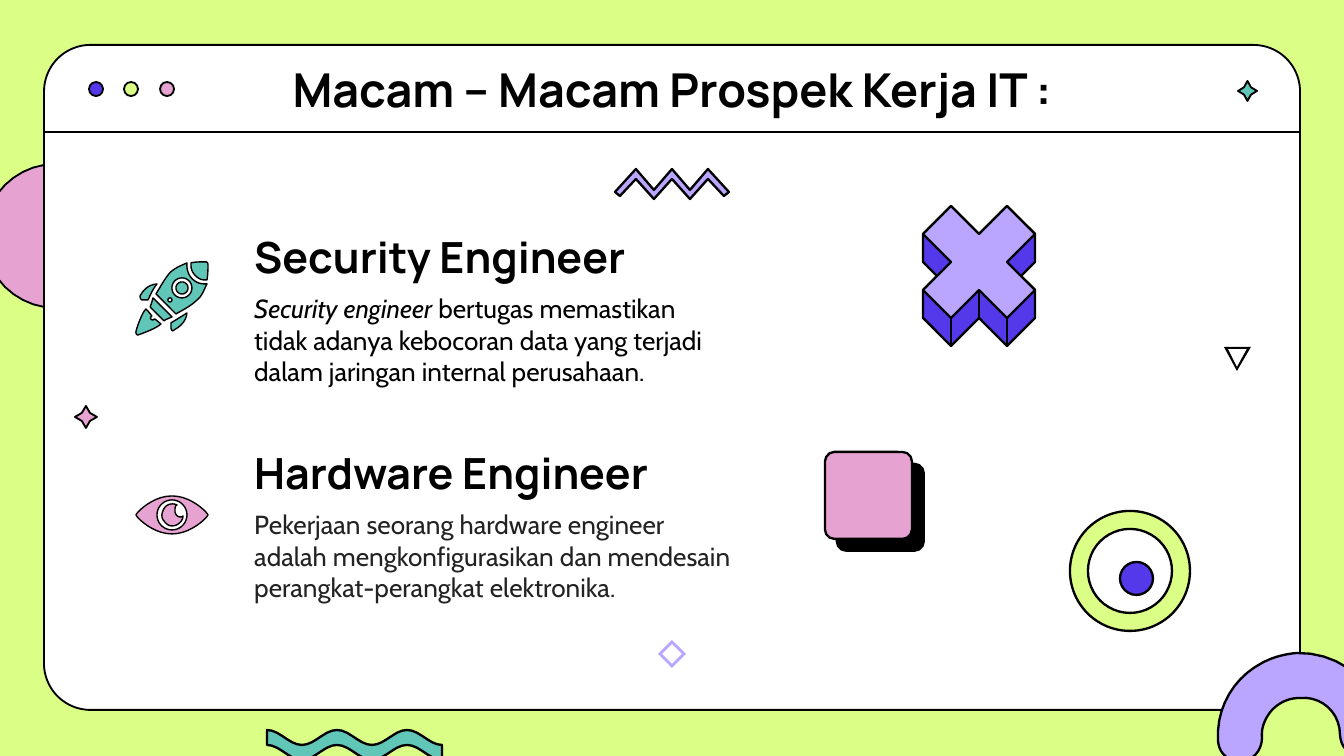
import math

import pptx
import pptx.dml.color
import pptx.enum.shapes
import pptx.enum.text
import pptx.oxml
import pptx.oxml.ns
import pptx.util

RGB = pptx.dml.color.RGBColor
Kind = pptx.enum.shapes.MSO_SHAPE
Align = pptx.enum.text.PP_ALIGN
Anchor = pptx.enum.text.MSO_ANCHOR

LIME = RGB(0xDB, 0xFE, 0x87)
TEAL = RGB(0x60, 0xC7, 0xB8)
PINK = RGB(0xE6, 0xA2, 0xD0)
LILAC = RGB(0xBA, 0xA5, 0xFF)
VIOLET = RGB(0x53, 0x39, 0xEA)
WHITE = RGB(0xFF, 0xFF, 0xFF)
BLACK = RGB(0, 0, 0)
GRAY = RGB(0x22, 0x22, 0x22)

HEADING = {"name": "Manrope", "size": pptx.util.Pt(23), "bold": True}
TITLE = {**HEADING, "size": pptx.util.Pt(25)}
BODY = {"name": "Cabin", "size": pptx.util.Pt(14)}
EMU_PER_PIXEL = 914400 / 134.4
CURVE_STEPS = 10


def emu(pixels):
    return pptx.util.Emu(round(pixels * EMU_PER_PIXEL))


def circle(x, y, radius):
    angles = [math.tau * i / 36 for i in range(37)]
    return [(x + radius * math.cos(a), y + radius * math.sin(a)) for a in angles]


def flatten(contour):
    """Turn six-number cubic curve steps into short straight ones."""
    points = [contour[0]]
    for step in contour[1:]:
        if len(step) == 2:
            points.append(step)
            continue
        nodes = [points[-1], step[:2], step[2:4], step[4:]]
        for i in range(1, CURVE_STEPS + 1):
            t = i / CURVE_STEPS
            weights = ((1 - t) ** 3, 3 * t * (1 - t) ** 2, 3 * t * t * (1 - t), t ** 3)
            points.append(tuple(sum(w * node[axis] for w, node in zip(weights, nodes))
                                for axis in (0, 1)))
    return points


class Canvas:
    def __init__(self, page):
        self.page = page

    def paint(self, shape, fill, width):
        shape.shadow.inherit = False
        shape.fill.solid()
        shape.fill.fore_color.rgb = fill
        if width:
            shape.line.color.rgb = BLACK
            shape.line.width = pptx.util.Pt(width)
        else:
            shape.line.fill.background()
        return shape

    def preset(self, kind, frame, fill, width=1.0, adjust=None):
        shape = self.page.shapes.add_shape(kind, *map(emu, frame))
        if adjust is not None:
            shape.adjustments[0] = adjust
        return self.paint(shape, fill, width)

    def outline(self, contours, fill, width=1.0):
        builder = None
        for contour in contours:
            first, *rest = [(emu(x), emu(y)) for x, y in flatten(contour)]
            if builder is None:
                builder = self.page.shapes.build_freeform(*first, scale=1.0)
            else:
                builder.move_to(*first)
            builder.add_line_segments(rest, close=True)
        return self.paint(builder.convert_to_shape(), fill, width)

    def line(self, start, end, width=1.0):
        connector = self.page.shapes.add_connector(
            pptx.enum.shapes.MSO_CONNECTOR.STRAIGHT, *map(emu, start + end))
        connector.line.color.rgb = BLACK
        connector.line.width = pptx.util.Pt(width)
        connector._element.spPr.append(pptx.oxml.parse_xml(
            f'<a:effectLst {pptx.oxml.ns.nsdecls("a")}/>'))

    def hard_shadow(self, shape, points):
        effects = shape._element.spPr.find(pptx.oxml.ns.qn("a:effectLst"))
        effects.append(pptx.oxml.parse_xml(
            f'<a:outerShdw {pptx.oxml.ns.nsdecls("a")} dist="{pptx.util.Pt(points)}" '
            'dir="2700000" algn="bl" rotWithShape="0"><a:srgbClr val="000000"/></a:outerShdw>'))

    def text(self, frame, spans, style, color=BLACK, spacing=1.0,
             align=Align.LEFT, anchor=Anchor.TOP):
        box = self.page.shapes.add_textbox(*map(emu, frame)).text_frame
        box.word_wrap = True
        box.vertical_anchor = anchor
        para = box.paragraphs[0]
        para.alignment = align
        para.line_spacing = spacing
        for words, extra in spans:
            span = para.add_run()
            span.text = words
            span.font.color.rgb = color
            for key, value in {**style, **extra}.items():
                setattr(span.font, key, value)


deck = pptx.Presentation()
deck.slide_width, deck.slide_height = emu(1344), emu(756)
page = deck.slides.add_slide(deck.slide_layouts[6])
page.background.fill.solid()
page.background.fill.fore_color.rgb = LIME
canvas = Canvas(page)

# Wave and half disc behind the window
crest = [(267 + x, 730 + 7.5 * (1 - math.cos(math.tau * x / 70))) for x in range(0, 176, 5)]
canvas.outline([crest + [(x, y + 15) for x, y in reversed(crest)]], TEAL, 1.25)
canvas.outline([[(56, 164), (16, 164, -16, 196, -16, 236), (-16, 276, 16, 308, 56, 308)]], PINK)

# Window with its bar
canvas.preset(Kind.ROUNDED_RECTANGLE, (44, 45, 1256, 665), WHITE, adjust=0.07)
canvas.line((44, 132), (1300, 132))
for index, color in enumerate((VIOLET, LIME, PINK)):
    canvas.preset(Kind.OVAL, (89 + 71 * index // 2, 82, 14, 14), color)
canvas.text((106, 65, 1132, 54), [("Macam – Macam Prospek Kerja IT :", {})], TITLE,
            spacing=0.9, align=Align.CENTER, anchor=Anchor.MIDDLE)

# Two jobs
jobs = [
    (230, 492, "Security Engineer", BLACK,
     [("Security engineer", {"italic": True}),
      ("\u00a0bertugas memastikan tidak adanya kebocoran data yang terjadi "
       "dalam jaringan internal perusahaan.", {})]),
    (446, 513, "Hardware Engineer", GRAY,
     [("Pekerjaan seorang hardware engineer adalah mengkonfigurasikan dan mendesain "
       "perangkat-perangkat elektronika.", {})]),
]
for top, width, heading, color, spans in jobs:
    canvas.text((241, top, width, 55), [(heading, {})], HEADING, spacing=0.9)
    canvas.text((241, top + 56, width, 92), spans, BODY, color)

# Eye icon
lid = [(136, 515), (137, 512, 153, 496, 172, 496), (191, 496, 207, 512, 208, 515),
       (207, 518, 191, 534, 172, 534), (153, 534, 137, 518, 136, 515)]
iris = [(172, 504), (168, 504, 164, 507, 163, 511), (161, 515, 162, 519, 164, 521),
        (166, 524, 169, 526, 172, 526), (178, 526, 183, 521, 183, 516),
        (182, 517, 181, 517, 180, 517), (177, 517, 175, 514, 175, 511),
        (175, 508, 175, 506, 177, 505), (175, 504, 173, 504, 172, 504)]
for contours in ([lid, circle(172, 515, 15)], [iris]):
    canvas.outline(contours, PINK, 0.75)

# Rocket icon
band = [(153, 298), (151, 305), (150, 306, 150, 307, 151, 308), (163, 320),
        (164, 321, 165, 321, 165, 320), (172, 317)]
nose = [(203, 262), (199, 262, 195, 262, 191, 263), (191, 266),
        (191, 273, 198, 280, 204, 280), (207, 280), (208, 274, 208, 269, 208, 265),
        (208, 263, 207, 262, 206, 262)]
body = [(187, 263), (180, 266, 173, 269, 169, 274), (164, 280, 160, 288, 156, 294),
        (176, 314), (183, 310, 191, 306, 196, 301), (202, 297, 204, 290, 207, 284),
        (204, 284), (195, 284, 187, 276, 187, 266)]
right_fin = [(187, 313), (181, 317, 176, 320, 171, 323), (171, 328),
             (171, 329, 172, 331, 173, 331), (175, 329, 186, 325, 187, 313)]
left_fin = [(157, 284), (145, 285, 141, 295, 140, 296), (140, 298, 141, 300, 142, 300),
            (148, 300), (151, 294, 153, 289, 157, 284)]
flame = [(146, 309), (142, 313, 137, 327, 136, 332), (136, 334, 137, 335, 138, 335),
         (144, 333, 157, 328, 161, 324), (155, 319), (153, 320),
         (151, 320, 150, 318, 151, 317), (152, 316), (148, 311)]
rocket = [[band], [nose], [circle(182, 288, 6)],
          [body, circle(182, 288, 10), circle(170, 300, 2)],
          [right_fin], [left_fin], [flame]]
for contours in rocket:
    canvas.outline(contours, TEAL, 0.75)

# Small ornaments
canvas.preset(Kind.STAR_4_POINT, (75, 406, 22, 22), PINK, adjust=0.26)
canvas.preset(Kind.STAR_4_POINT, (1238, 81, 19, 20), TEAL, adjust=0.26)
zigzag = [(690, 199), (672, 179), (654, 199), (636, 179), (620, 196), (615, 192), (636, 169),
          (654, 190), (672, 169), (690, 190), (708, 169), (729, 192), (724, 196), (708, 179)]
canvas.outline([zigzag], LILAC, 1.25)
canvas.outline([[(1224, 347), (1251, 347), (1237, 371)],
                [(1228, 349), (1247, 349), (1237, 367)]], BLACK, 0)
canvas.outline([[(672, 654 - r), (672 + r, 654), (672, 654 + r), (672 - r, 654)]
                for r in (14, 10)], LILAC, 0)

# Ring with a pupil
canvas.preset(Kind.DONUT, (1070, 511, 120, 120), LIME, 1.25, adjust=0.15)
canvas.preset(Kind.OVAL, (1120, 562, 33, 33), VIOLET, 1.25)

# Arch at the corner
arch = [(1262, 663), (1273, 657, 1285, 654, 1297, 653), (1343, 652, 1382, 687, 1384, 732),
        (1384, 745, 1375, 755, 1363, 755), (1351, 757, 1341, 749, 1340, 735),
        (1340, 712, 1321, 696, 1300, 698), (1289, 698, 1280, 702, 1272, 710),
        (1265, 718, 1261, 728, 1262, 738), (1262, 750, 1253, 761, 1241, 761),
        (1228, 762, 1219, 753, 1218, 741), (1216, 706, 1235, 677, 1262, 663)]
canvas.outline([arch], LILAC, 1.25)


# Solid cross on a grid of 28 pixels
def cross_point(column, row):
    return 979 + 28 * column, 262 + 28 * row


sides = [(2, -1), (2, 0), (1.5, 0.5), (2, 1), (2, 2), (1, 3), (0, 2), (-1, 3), (-2, 2),
         (-2, 1), (-1.5, 0.5), (-2, 0), (-2, -1), (-1, -2), (0, -1), (1, -2)]
face = [(1, -2), (2, -1), (1, 0), (2, 1), (1, 2), (0, 1),
        (-1, 2), (-2, 1), (-1, 0), (-2, -1), (-1, -2), (0, -1)]
for corners, color in ((sides, VIOLET), (face, LILAC)):
    canvas.outline([[cross_point(*corner) for corner in corners]], color, 1.25)
for column, row in ((-1, 2), (0, 1), (1, 2)):
    canvas.line(cross_point(column, row), cross_point(column, row + 1), 1.25)

# Tile with a hard shadow
tile = canvas.preset(Kind.ROUNDED_RECTANGLE, (825, 452, 87, 87), PINK, 1.25, adjust=0.11)
canvas.hard_shadow(tile, 9)

deck.save("out.pptx")
